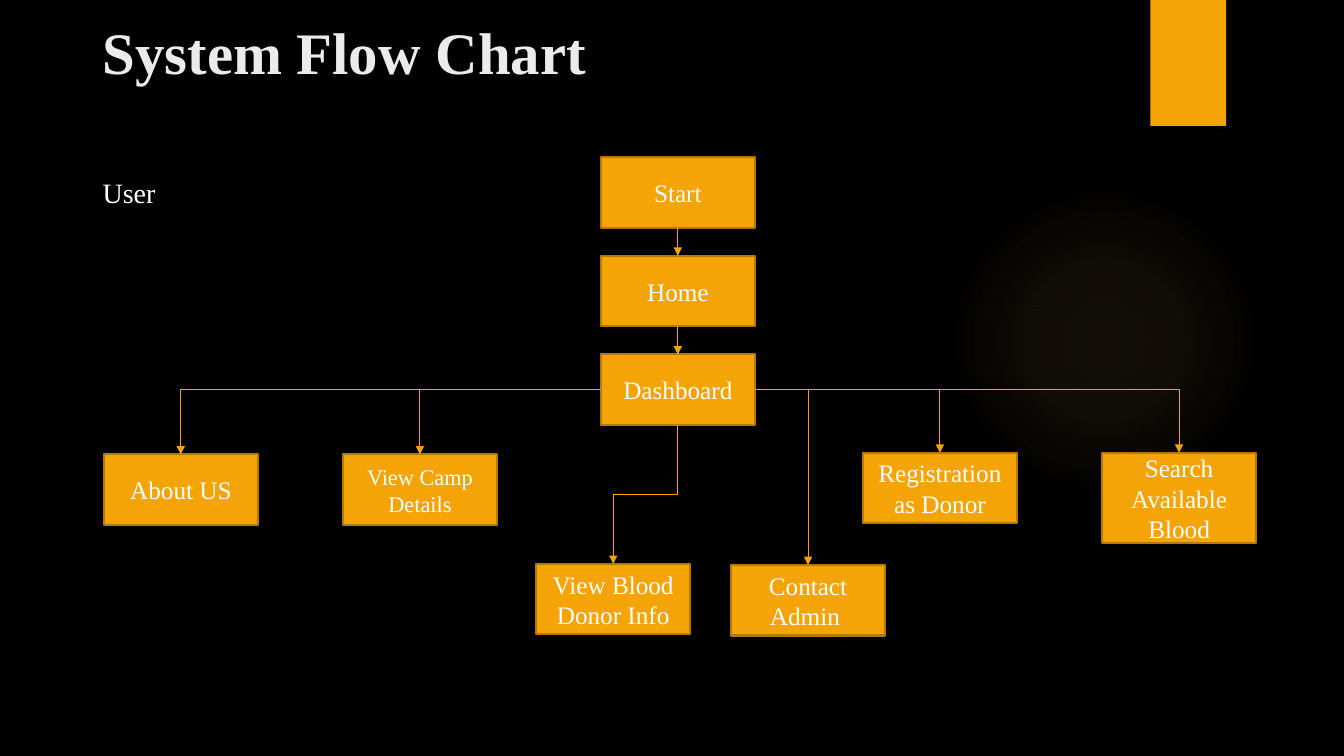
from lxml.etree import SubElement
from pptx import Presentation
from pptx.dml.color import RGBColor
from pptx.enum.shapes import MSO_CONNECTOR, MSO_SHAPE
from pptx.enum.text import MSO_ANCHOR, PP_ALIGN
from pptx.oxml import parse_xml
from pptx.oxml.ns import nsdecls, qn
from pptx.util import Pt

TITLE = "System Flow Chart"
ROLE = "User"
STEPS = ["Start", "Home", "Dashboard"]
# text, left, top, height, type size, side of the dashboard it leaves from
PAGES = [
    ("About US", 74, 324.6, 50.4, "node", "left"),
    ("View Camp Details", 244.8, 324.6, 50.4, "small", "left"),
    ("View Blood Donor Info", 382.8, 402.8, 50.4, "node", "bottom"),
    ("Contact Admin ", 522, 403.6, 50.4, "node", "right"),
    ("Registration as Donor", 616.2, 323.4, 50.4, "node", "right"),
    ("Search Available Blood", 787, 323.4, 64.8, "node", "right"),
]

THEME = {
    "font": "Times New Roman",
    "back": "000000", "gold": "F5A408", "edge": "B57906",
    "glow": "FAC96A", "title": "EBEBEB", "text": "FFFFFF",
    "size": {"title": 42, "role": 20, "node": 18, "small": 16},
}
GLOW = [(0, 7), (36, 6), (69, 0)]  # stop and opacity, in percent
SITE = {"top": 0, "left": 1, "bottom": 2, "right": 3}
LEFT, TOP, WIDE, HIGH, PITCH = 429, 112.2, 110.4, 50.4, 70.5


def color(name):
    return RGBColor.from_string(THEME[name])


def write(shape, text, size="node", tint="text", bold=False,
          align=PP_ALIGN.CENTER, anchor=MSO_ANCHOR.MIDDLE):
    frame = shape.text_frame
    frame.word_wrap = True
    frame.vertical_anchor = anchor
    para = frame.paragraphs[0]
    para.alignment = align
    run = para.add_run()
    run.text = text
    font = run.font
    font.name, font.bold = THEME["font"], bold
    font.size = Pt(THEME["size"][size])
    font.color.rgb = color(tint)


def label(slide, text, left, top, wide, high, **style):
    box = slide.shapes.add_textbox(Pt(left), Pt(top), Pt(wide), Pt(high))
    write(box, text, align=PP_ALIGN.LEFT, anchor=MSO_ANCHOR.TOP, **style)


def block(slide, kind, left, top, wide, high, edge=None):
    shape = slide.shapes.add_shape(kind, Pt(left), Pt(top), Pt(wide), Pt(high))
    shape.shadow.inherit = False
    shape.fill.solid()
    shape.fill.fore_color.rgb = color("gold")
    if edge:
        shape.line.color.rgb = color(edge)
        shape.line.width = Pt(1.5)
    else:
        shape.line.fill.background()
    return shape


def node(slide, text, left, top, high=HIGH, size="node"):
    shape = block(slide, MSO_SHAPE.RECTANGLE, left, top, WIDE, high, "edge")
    write(shape, text, size=size)
    return shape


def halo(slide):
    """Draw the faint round glow that fades outwards."""
    shape = block(slide, MSO_SHAPE.OVAL, 677.5, 131.8, 221.8, 221.8)
    stops = "".join(
        f'<a:gs pos="{pos * 1000}"><a:srgbClr val="{THEME["glow"]}">'
        f'<a:alpha val="{alpha * 1000}"/></a:srgbClr></a:gs>'
        for pos, alpha in GLOW)
    fade = parse_xml(
        f'<a:gradFill {nsdecls("a")}><a:gsLst>{stops}</a:gsLst>'
        '<a:path path="circle"><a:fillToRect l="50000" t="50000" '
        'r="50000" b="50000"/></a:path></a:gradFill>')
    props = shape._element.spPr
    props.replace(props.find(qn("a:solidFill")), fade)


def turn(link):
    """Rotate an elbow a quarter so that it leaves downwards."""
    wide, high = link.width, link.height
    link.left += (wide - high) // 2
    link.top += (high - wide) // 2
    link.width, link.height = high, wide
    form = link._element.spPr.find(qn("a:xfrm"))
    form.attrib.pop("flipH", None)
    form.set("rot", "5400000")


def arrow(slide, start, end, side="bottom", kind=MSO_CONNECTOR.STRAIGHT):
    link = slide.shapes.add_connector(kind, 0, 0, 0, 0)
    link.begin_connect(start, SITE[side])
    link.end_connect(end, SITE["top"])
    link.line.color.rgb = color("gold")
    link.line.width = Pt(0.75)
    props = link._element.spPr
    SubElement(props.find(qn("a:ln")), qn("a:tailEnd"), type="triangle")
    SubElement(props, qn("a:effectLst"))
    if kind == MSO_CONNECTOR.ELBOW:
        if side == "bottom":
            turn(link)
        else:
            props.find(qn("a:prstGeom")).set("prst", "bentConnector2")


def main():
    deck = Presentation()
    deck.slide_width, deck.slide_height = Pt(960), Pt(540)
    slide = deck.slides.add_slide(deck.slide_layouts[6])
    slide.background.fill.solid()
    slide.background.fill.fore_color.rgb = color("back")

    halo(slide)
    block(slide, MSO_SHAPE.RECTANGLE, 821.8, 0, 54, 90)
    label(slide, TITLE, 66.2, 8, 740, 70, size="title", tint="title", bold=True)
    label(slide, ROLE, 66.2, 121.5, 300, 40, size="role")

    steps = [node(slide, text, LEFT, TOP + row * PITCH)
             for row, text in enumerate(STEPS)]
    for start, end in zip(steps, steps[1:]):
        arrow(slide, start, end)

    for text, left, top, high, size, side in PAGES:
        page = node(slide, text, left, top, high, size)
        arrow(slide, steps[-1], page, side, MSO_CONNECTOR.ELBOW)

    deck.save("out.pptx")


if __name__ == "__main__":
    main()
